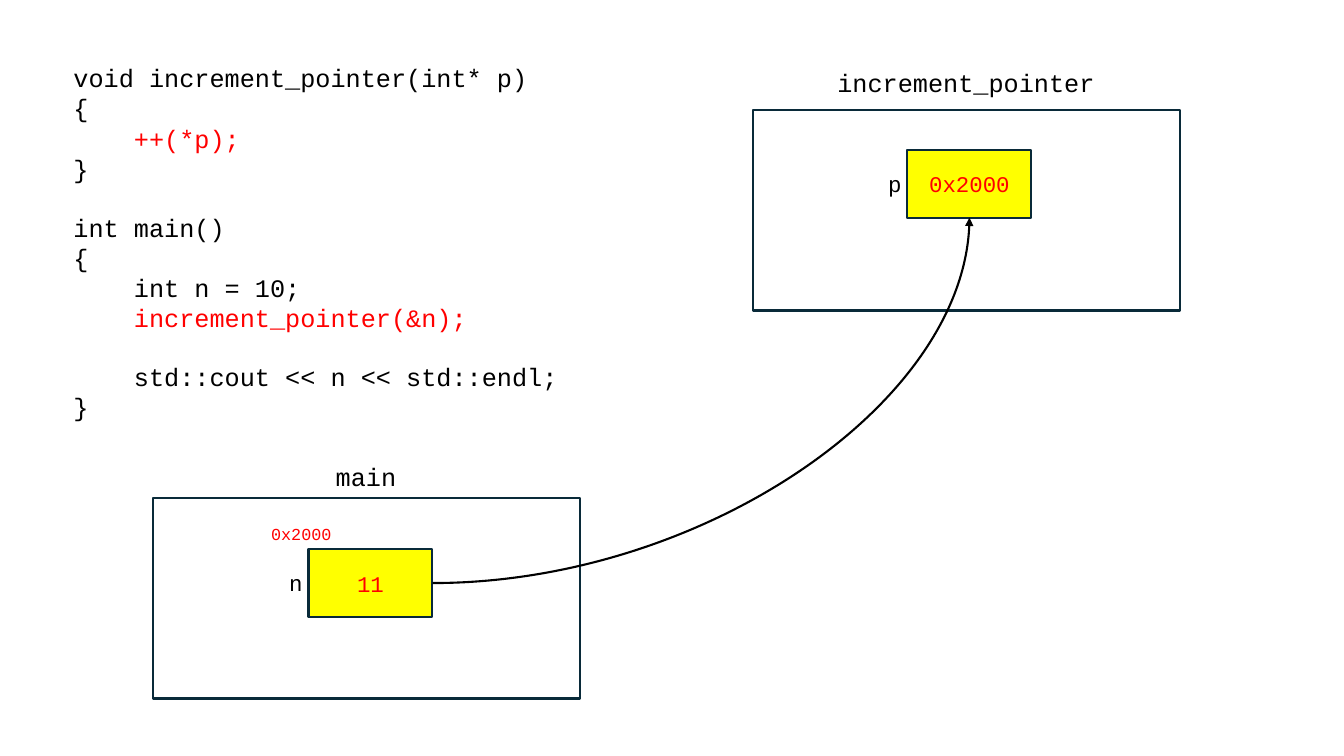
"""Build a slide showing a pointer passed from main to increment_pointer."""
from lxml import etree
from pptx import Presentation
from pptx.dml.color import RGBColor
from pptx.enum.shapes import MSO_CONNECTOR, MSO_SHAPE
from pptx.enum.text import MSO_ANCHOR, MSO_AUTO_SIZE, PP_ALIGN
from pptx.oxml.ns import qn
from pptx.util import Inches, Pt

BLACK = RGBColor(0x00, 0x00, 0x00)
WHITE = RGBColor(0xFF, 0xFF, 0xFF)
RED = RGBColor(0xFF, 0x00, 0x00)
YELLOW = RGBColor(0xFF, 0xFF, 0x00)
NAVY = RGBColor(0x09, 0x2A, 0x39)
RECT = MSO_SHAPE.RECTANGLE
CURVE = MSO_CONNECTOR.CURVE
GROW = MSO_AUTO_SIZE.SHAPE_TO_FIT_TEXT
MIDDLE = MSO_ANCHOR.MIDDLE
LEFT, CENTER = PP_ALIGN.LEFT, PP_ALIGN.CENTER

deck = Presentation()
deck.slide_width, deck.slide_height = Inches(13.33), Inches(7.5)
slide = deck.slides.add_slide(deck.slide_layouts[6])
shapes = slide.shapes


def write(para, text, size, color, align=CENTER):
    para.alignment = align
    run = para.add_run()
    run.text = text
    run.font.name = "Courier New"
    run.font.size = Pt(size)
    run.font.color.rgb = color


def place(x, y, w, h, fill=None):
    area = [Inches(v) for v in (x, y, w, h)]
    if fill is None:
        item = shapes.add_textbox(*area)
        item.text_frame.auto_size = GROW
    else:
        item = shapes.add_shape(RECT, *area)
        item.shadow.inherit = False
        item.fill.solid()
        item.fill.fore_color.rgb = fill
        item.line.color.rgb = NAVY
        item.line.width = Pt(1.5)
        item.text_frame.vertical_anchor = MIDDLE
    item.text_frame.word_wrap = True
    return item


code = [
    ("void increment_pointer(int* p)", 0, BLACK, 0),
    ("{", 0, BLACK, 0),
    ("++(*p);", 1, RED, 0),
    ("}", 0, BLACK, 0),
    ("int main()", 0, BLACK, 1),
    ("{", 0, BLACK, 0),
    ("int n = 10;", 1, BLACK, 0),
    ("increment_pointer(&n);", 1, RED, 0),
    ("std::cout << n << std::endl;", 1, BLACK, 1),
    ("}", 0, BLACK, 0),
]
frame = place(0.63, 0.57, 6.67, 3.74).text_frame
for i, (text, depth, color, gap) in enumerate(code):
    para = frame.paragraphs[0] if i == 0 else frame.add_paragraph()
    write(para, text, 18, color, LEFT)
    para.space_before = Pt(20.4 * gap)
    props = para._p.get_or_add_pPr()
    props.set("marL", str(Inches(0.6 * depth)))
    props.set("indent", "0")

calls = [
    (1.52, 4.94, "main", (2.98, 4.53, 1.3), (3.06, 5.45), "n", "11"),
    (7.47, 1.09, "increment_pointer", (8.1, 0.62, 2.96), (9, 1.49), "p", "0x2000"),
]
cells = []
for left, top, title, (tx, ty, width), (x, y), name, value in calls:
    place(left, top, 4.23, 1.99, WHITE)
    label = place(tx, ty, width, 0.4)
    write(label.text_frame.paragraphs[0], title, 18, BLACK)
    cell = place(x, y, 1.23, 0.67, YELLOW)
    write(cell.text_frame.paragraphs[0], value, 16, RED)
    cells.append(cell)
    label = place(x - 0.29, y + 0.15, 0.26, 0.37)
    write(label.text_frame.paragraphs[0], name, 16, BLACK)

label = place(2.59, 5.15, 1.19, 0.3)
write(label.text_frame.paragraphs[0], "0x2000", 12, RED, LEFT)

arrow = shapes.add_connector(CURVE, Inches(4.29), Inches(5.78), Inches(9.61), Inches(2.16))
arrow.begin_connect(cells[0], 3)
arrow.end_connect(cells[1], 2)
arrow.line.color.rgb = BLACK
arrow.line.width = Pt(1.5)
props = arrow._element.spPr
props.find(qn("a:prstGeom")).set("prst", "curvedConnector2")
etree.SubElement(props.find(qn("a:ln")), qn("a:tailEnd"), type="triangle")
etree.SubElement(props, qn("a:effectLst"))

deck.save("out.pptx")
